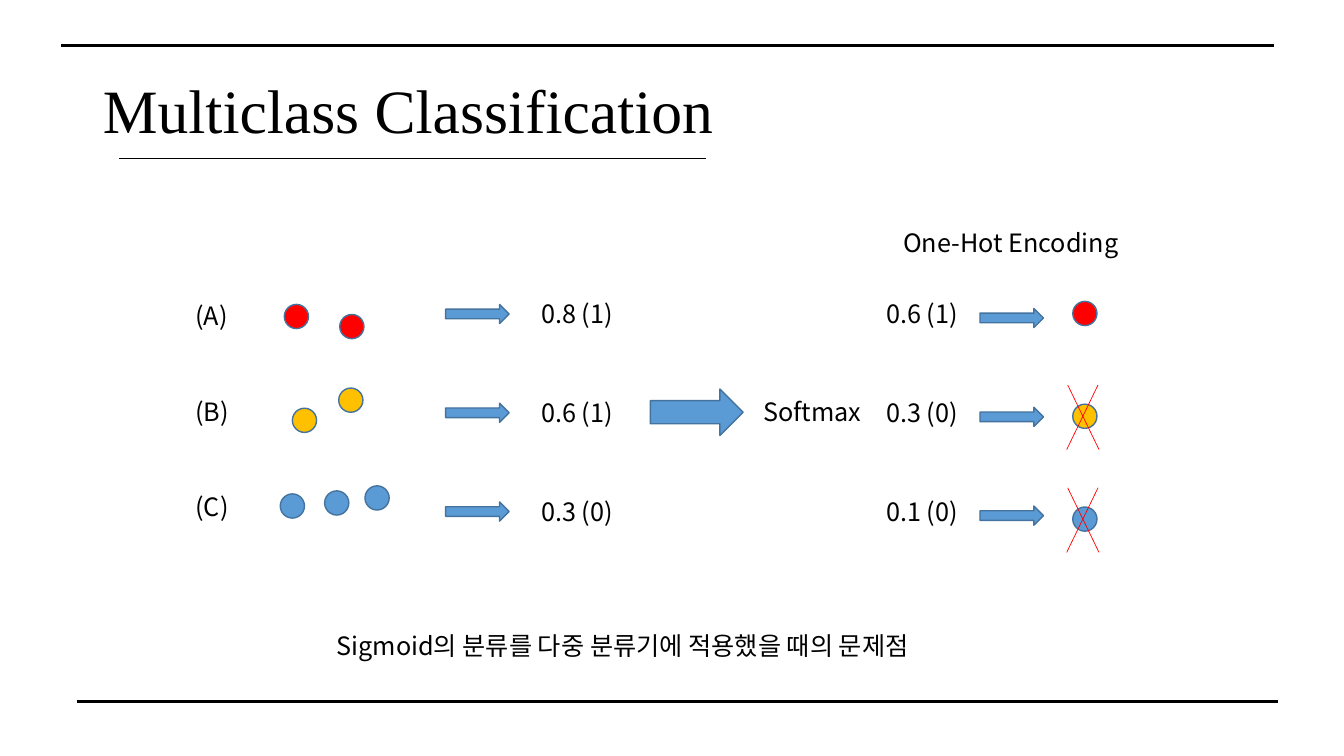
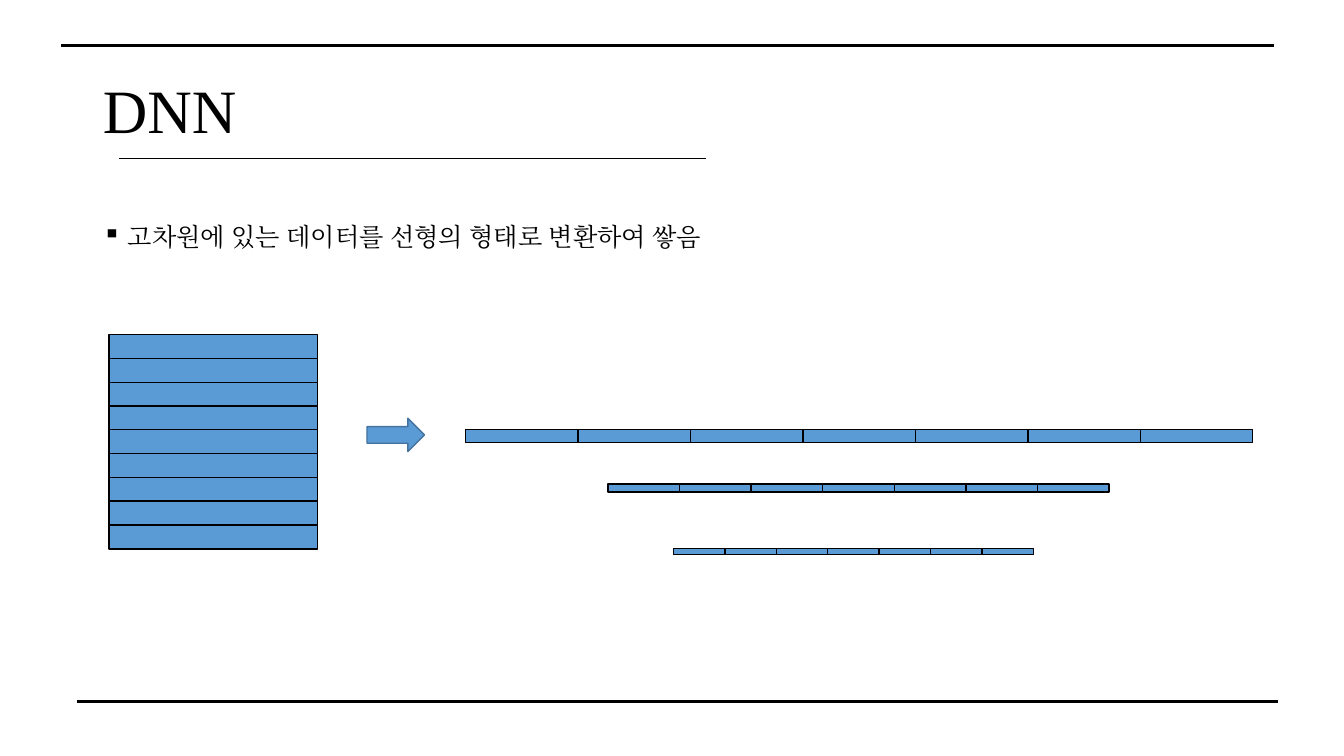
import pptx
import pptx.dml.color
import pptx.enum.shapes
import pptx.enum.text
import pptx.oxml.ns
import pptx.util
from lxml import etree

BLACK, RED, AMBER, BLUE, EDGE = "000000", "FF0000", "FFC000", "5B9BD5", "43739E"
SANS, SERIF = "Noto Sans CJK KR", "Times New Roman"
FRAME_LINES = [
    (0.61, 0.45, 12.64, 0.45, BLACK, 2.25),
    (0.76, 6.96, 12.68, 6.96, BLACK, 2.25),
    (1.18, 1.57, 7, 1.57, BLACK, 1),
]
ROWS = range(3)
inches = pptx.util.Inches
qn = pptx.oxml.ns.qn
rgb = pptx.dml.color.RGBColor.from_string
kinds = pptx.enum.shapes.MSO_SHAPE


def write(frame, text, font=SANS, size=18):
    """Fill a text frame with one left-aligned run and return its paragraph."""
    frame.word_wrap = True
    paragraph = frame.paragraphs[0]
    paragraph.alignment = pptx.enum.text.PP_ALIGN.LEFT
    run = paragraph.add_run()
    run.text = text
    run.font.size = pptx.util.Pt(size)
    run.font.name = font
    run.font.color.rgb = rgb(BLACK)
    east_asian = etree.SubElement(run.font._element, qn("a:ea"))
    east_asian.set("typeface", font)
    return paragraph


def add_figure(slide, kind, left, top, width, height, fill=BLUE, edge=EDGE):
    shape = slide.shapes.add_shape(kind, *map(inches, (left, top, width, height)))
    shape.shadow.inherit = False
    shape.fill.solid()
    shape.fill.fore_color.rgb = rgb(fill)
    shape.line.color.rgb = rgb(edge)
    shape.line.width = pptx.util.Pt(1)


presentation = pptx.Presentation()
presentation.slide_width = inches(13.33)
presentation.slide_height = inches(7.5)

# Titles and shared frame
slides = []
for title_text in ("Multiclass Classification", "DNN"):
    slide = presentation.slides.add_slide(presentation.slide_layouts[5])
    title = slide.shapes.title
    title.left, title.top, title.width, title.height = map(inches, (0.92, 0.4, 11.5, 1.45))
    title.text_frame.vertical_anchor = pptx.enum.text.MSO_ANCHOR.MIDDLE
    write(title.text_frame, title_text, SERIF, 44).line_spacing = 0.9
    for start_x, start_y, end_x, end_y, color, width in FRAME_LINES:
        slides.append(slide) if slide not in slides else None
multiclass, dnn = slides

# Multiclass: samples of each class
samples = {
    RED: [(2.82, 3.02), (3.37, 3.12)],
    AMBER: [(2.9, 4.05), (3.36, 3.85)],
    BLUE: [(2.78, 4.9), (3.22, 4.87), (3.62, 4.82)],
}
for color, places in samples.items():
    for left, top in places:
        add_figure(multiclass, kinds.OVAL, left, top, 0.24, 0.24, color)

# Multiclass: arrows and one-hot results, one row per class
for row, color in zip(ROWS, samples):
    add_figure(multiclass, kinds.RIGHT_ARROW, 4.42, 3.02 + 0.98 * row, 0.63, 0.19)
    add_figure(multiclass, kinds.RIGHT_ARROW, 9.72, 3.06 + 0.98 * row, 0.63, 0.19)
    add_figure(multiclass, kinds.OVAL, 10.64, 2.99 + 1.02 * row, 0.24, 0.24, color)
add_figure(multiclass, kinds.RIGHT_ARROW, 6.45, 3.86, 0.92, 0.46)

# Multiclass: labels as left, top, width, text
labels = [
    (3.24, 6.2, 6.95, "Sigmoid의 분류를 다중 분류기에 적용했을 때의 문제점"),
    (7.47, 3.88, 1.22, "Softmax"),
    (8.86, 2.21, 2.37, "One-Hot Encoding"),
]
columns = [
    (1.84, 2.93, 0.95, ("(A)", "(B)", "(C)")),
    (5.27, 2.91, 0.98, ("0.8 (1)", "0.6 (1)", "0.3 (0)")),
    (8.69, 2.91, 0.98, ("0.6 (1)", "0.3 (0)", "0.1 (0)")),
]
for left, top, pitch, texts in columns:
    labels += [(left, top + pitch * row, 1.05, texts[row]) for row in ROWS]
for left, top, width, text in labels:
    box = multiclass.shapes.add_textbox(*map(inches, (left, top, width, 0.4)))
    write(box.text_frame, text)

# DNN: stacked rows of the input
for index in range(9):
    add_figure(dnn, kinds.RECTANGLE, 1.08, 3.32 + 0.236 * index, 2.07, 0.24, edge=BLACK)
add_figure(dnn, kinds.RIGHT_ARROW, 3.64, 4.15, 0.57, 0.33)

# DNN: flattened layers of seven cells
for left, top, cell_width, height in [
    (4.62, 4.26, 1.115, 0.13),
    (6.03, 4.8, 0.71, 0.08),
    (6.68, 5.44, 0.51, 0.06),
]:
    for index in range(7):
        add_figure(dnn, kinds.RECTANGLE, left + cell_width * index, top,
                   cell_width, height, edge=BLACK)

# DNN: bullet
box = dnn.shapes.add_textbox(*map(inches, (0.92, 1.88, 11.5, 0.68)))
paragraph = write(box.text_frame, "고차원에 있는 데이터를 선형의 형태로 변환하여 쌓음", SERIF)
paragraph.line_spacing = 1.9
paragraph.space_before = pptx.util.Pt(10)
properties = paragraph._p.get_or_add_pPr()
properties.set("marL", str(inches(0.25)))
properties.set("indent", str(inches(-0.25)))
etree.SubElement(properties, qn("a:buChar")).set("char", "▪")

# Frame lines on both slides, crosses over the rejected classes
crosses = []
for row in ROWS[1:]:
    top = 2.8 + 1.02 * row
    crosses += [(10.59, top, 10.9, top + 0.64, RED, 0.5),
                (10.89, top, 10.58, top + 0.64, RED, 0.5)]
for slide, lines in ((multiclass, FRAME_LINES + crosses), (dnn, FRAME_LINES)):
    for start_x, start_y, end_x, end_y, color, width in lines:
        connector = slide.shapes.add_connector(
            pptx.enum.shapes.MSO_CONNECTOR.STRAIGHT,
            *map(inches, (start_x, start_y, end_x, end_y)))
        connector.line.color.rgb = rgb(color)
        connector.line.width = pptx.util.Pt(width)
        etree.SubElement(connector._element.spPr, qn("a:effectLst"))

presentation.save("out.pptx")
